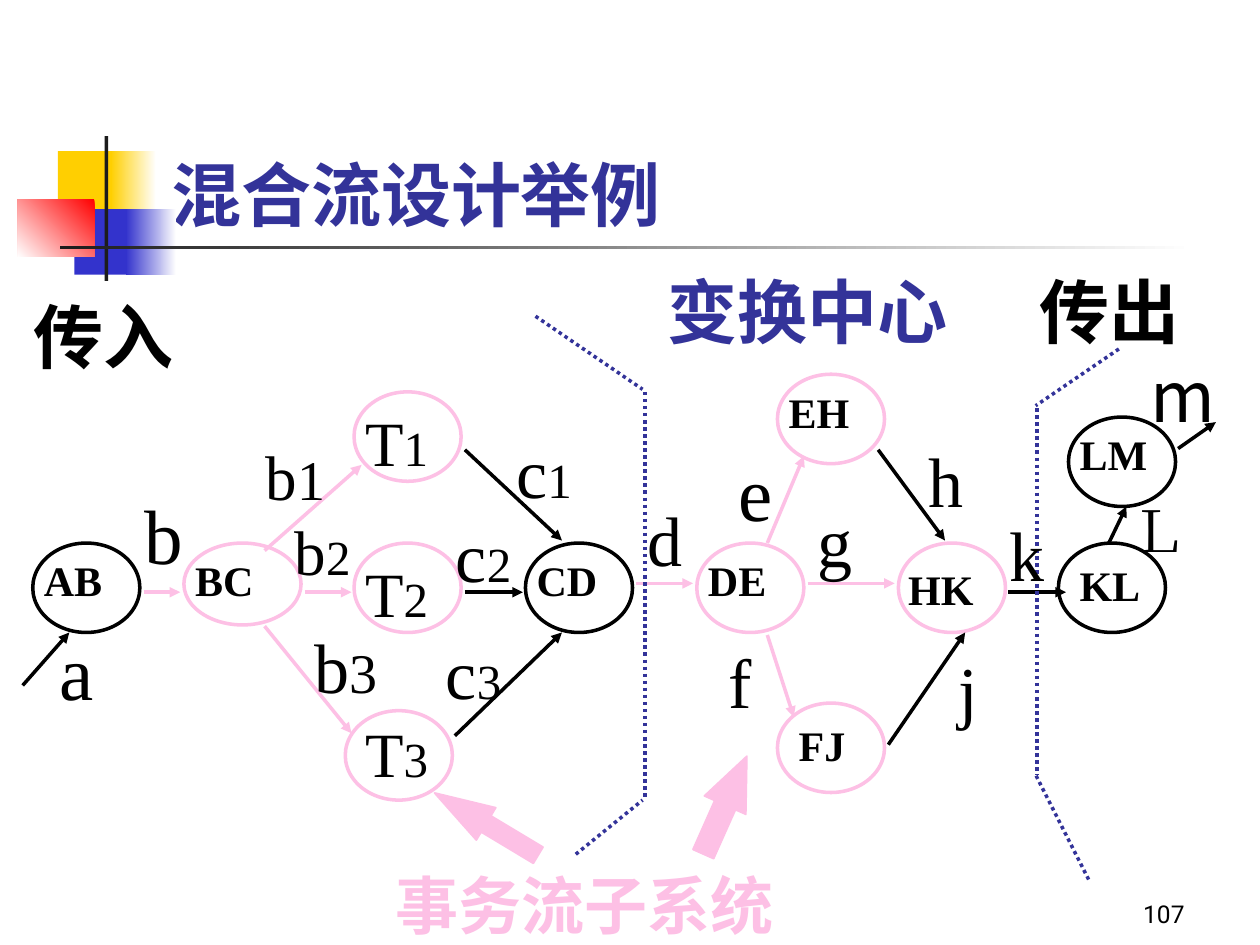
from lxml.etree import SubElement
from pptx import Presentation
from pptx.dml.color import RGBColor
from pptx.enum.dml import MSO_LINE_DASH_STYLE as Dash
from pptx.enum.shapes import MSO_CONNECTOR as Connector, MSO_SHAPE as Shape
from pptx.enum.text import MSO_ANCHOR as Anchor, MSO_AUTO_SIZE as AutoSize, PP_ALIGN as Align
from pptx.oxml.ns import qn
from pptx.util import Emu, Pt

PX = 9144  # 100 px to the inch
THEME = {
    "black": "000000", "pink": "FDC0E5", "navy": "333399", "white": "FFFFFF",
    "yellow": "FFCF01", "blue": "3333CC", "red": "FF0000", "dark": "1C1C1C",
    "cjk": "Noto Sans CJK SC", "serif": "Times New Roman", "sans": "Roboto",
    "node": 24, "task": 36, "sub": 28, "heading": 40, "page": 14,
}

# Content: lengths in px
TITLE = "混合流设计举例"
# x, y, w, h, colour or (from, to, angle)
ORNAMENT = [
    (46, 120, 48, 52, "yellow"),
    (88, 120, 36, 52, ("white", "yellow", 180)),
    (59, 166, 46, 52, "blue"),
    (100, 166, 40, 52, ("white", "blue", 180)),
    (14, 158, 61, 46, ("red", "white", 225)),
    (83, 108, 3, 115, "dark"),
    (48, 195, 900, 3, ("white", "dark", 180)),
]
OVAL = (85, 71)
WIDE_OVAL = (93, 65)
# name, oval x, y, size, colour, name x, y, w
NODES = [
    ("AB", 26, 431, OVAL, "black", 25, 435, 119),
    ("BC", 146, 431, WIDE_OVAL, "pink", 145, 435, 119),
    ("T1", 281, 311, OVAL, "pink", 280, 315, 135),
    ("T2", 281, 431, OVAL, "pink", 280, 435, 135),
    ("T3", 274, 564, OVAL, "pink", 280, 562, 135),
    ("CD", 417, 431, OVAL, "black", 416, 435, 119),
    ("DE", 553, 431, OVAL, "pink", 552, 435, 119),
    ("EH", 617, 297, OVAL, "pink", 616, 302, 119),
    ("FJ", 617, 558, OVAL, "pink", 624, 566, 88),
    ("HK", 713, 431, OVAL, "pink", 711, 442, 119),
    ("KL", 840, 431, OVAL, "black", 847, 439, 96),
    ("LM", 848, 331, OVAL, "black", 847, 335, 119),
]
# name, x, y, w, letter size, digit size, font
FLOW_NAMES = [
    ("a", 37, 490, 52, 44, 0, "serif"),
    ("b", 105, 382, 52, 44, 0, "serif"),
    ("b1", 201, 342, 95, 36, 32, "serif"),
    ("b2", 224, 402, 87, 36, 28, "serif"),
    ("b3", 240, 490, 87, 40, 32, "serif"),
    ("c1", 400, 335, 112, 40, 28, "serif"),
    ("c2", 352, 402, 111, 40, 28, "serif"),
    ("c3", 344, 495, 111, 40, 28, "serif"),
    ("d", 504, 389, 52, 40, 0, "serif"),
    ("e", 576, 348, 52, 44, 0, "serif"),
    ("f", 568, 502, 52, 40, 0, "serif"),
    ("g", 639, 390, 52, 40, 0, "serif"),
    ("h", 727, 342, 52, 40, 0, "serif"),
    ("j", 751, 508, 52, 40, 0, "serif"),
    ("k", 791, 401, 48, 40, 0, "serif"),
    ("Ｌ", 887, 389, 79, 32, 0, "serif"),
    ("m", 903, 275, 52, 40, 0, "cjk"),
]
# x1, y1, x2, y2 by colour
FLOWS = {
    "pink": [
        (114, 470, 143, 470), (210, 437, 287, 369), (242, 470, 279, 470),
        (210, 497, 279, 582), (505, 463, 550, 463), (609, 431, 638, 362),
        (609, 504, 630, 569), (641, 463, 710, 463),
    ],
    "black": [
        (18, 544, 55, 502), (369, 357, 446, 429), (369, 470, 415, 470),
        (361, 584, 446, 502), (697, 357, 750, 429), (705, 591, 766, 502),
        (800, 470, 846, 470), (880, 431, 894, 402), (935, 356, 965, 335),
    ],
}
BOUNDARIES = [
    (425, 251, 510, 309), (512, 311, 512, 635), (457, 678, 510, 635),
    (888, 277, 822, 322), (823, 324, 823, 615), (864, 698, 822, 615),
]
# text, x, y, w, size, colour
REGIONS = [
    ("传入", 17, 228, 159, THEME["heading"], "black"),
    ("变换中心", 520, 208, 287, THEME["heading"], "navy"),
    ("传出", 815, 208, 151, THEME["heading"], "black"),
    ("事务流子系统", 304, 683, 391, THEME["task"], "pink"),
]
# x, y, w, h, rotation, head length
POINTERS = [(338, 639, 96, 30, 211, 1.59), (533, 621, 85, 36, 294, 1.18)]
PAGE = ("107", 742, 692, 208, 50)


def px(*lengths):
    return [Emu(length * PX) for length in lengths]


def rgb(name):
    return RGBColor.from_string(THEME[name])


def assign(target, values):
    for key, value in values.items():
        setattr(target, key, value)


def write(paragraph, text, size, font="serif", color="black", bold=False):
    run = paragraph.add_run()
    run.text = text
    assign(run.font, {"size": Pt(size), "name": THEME[font], "bold": bold})
    run.font.color.rgb = rgb(color)
    SubElement(run.font._element, qn("a:ea"), typeface=THEME[font])


def add_label(slide, x, y, w, runs, h=None, wrap=True, anchor=Anchor.TOP, align=Align.LEFT, **style):
    """Place a text box; its height follows from the first type size."""
    h = h or round(10 + 1.66 * runs[0][1])
    frame = slide.shapes.add_textbox(*px(x, y, w, h)).text_frame
    assign(frame, {"word_wrap": wrap, "vertical_anchor": anchor})
    paragraph = frame.paragraphs[0]
    paragraph.alignment = align
    for text, size in runs:
        write(paragraph, text, size, **style)


def add_figure(slide, kind, frame, fill=None, line=None, weight=2):
    figure = slide.shapes.add_shape(kind, *px(*frame))
    figure.shadow.inherit = False
    if fill is None:
        figure.fill.background()
    elif isinstance(fill, tuple):
        *ends, angle = fill
        figure.fill.gradient()
        figure.fill.gradient_angle = angle
        for stop, name in zip(figure.fill.gradient_stops, ends):
            stop.color.rgb = rgb(name)
    else:
        figure.fill.solid()
        figure.fill.fore_color.rgb = rgb(fill)
    if line:
        figure.line.color.rgb = rgb(line)
        figure.line.width = Pt(weight)
    else:
        figure.line.fill.background()
    return figure


def add_line(slide, ends, color, dash=None, arrow=False):
    link = slide.shapes.add_connector(Connector.STRAIGHT, *px(*ends))
    link.line.color.rgb = rgb(color)
    assign(link.line, {"width": Pt(2), "dash_style": dash})
    if arrow:
        SubElement(link.line._get_or_add_ln(), qn("a:tailEnd"), type="triangle")
    SubElement(link._element.spPr, qn("a:effectLst"))


def main():
    deck = Presentation()
    deck.slide_width, deck.slide_height = px(1000, 750)
    slide = deck.slides.add_slide(deck.slide_layouts[5])

    # Corner ornament and title
    for *frame, fill in ORNAMENT:
        add_figure(slide, Shape.RECTANGLE, frame, fill)
    title = slide.shapes.title
    assign(title, dict(zip(("left", "top", "width", "height"), px(126, 67, 852, 125))))
    assign(title.text_frame, {"vertical_anchor": Anchor.BOTTOM, "auto_size": AutoSize.NONE,
                              "word_wrap": True})
    heading = title.text_frame.paragraphs[0]
    heading.alignment = Align.LEFT
    write(heading, TITLE, THEME["heading"], "cjk", "navy", True)

    # Ovals, flows and region boundaries
    for name, x, y, size, color, *_ in NODES:
        add_figure(slide, Shape.OVAL, (x, y, *size), "white" if name == "AB" else None, color)
    for color, flows in FLOWS.items():
        for ends in flows:
            add_line(slide, ends, color, arrow=True)
    for ends in BOUNDARIES:
        add_line(slide, ends, "navy", Dash.ROUND_DOT)

    # Block arrows to the transaction subsystems
    for *frame, rotation, head in POINTERS:
        pointer = add_figure(slide, Shape.RIGHT_ARROW, frame, "pink", "pink", 1)
        pointer.rotation = rotation
        pointer.adjustments[1] = head

    # Names of nodes, flows and regions
    for name, *_, x, y, w in NODES:
        task = name.startswith("T")
        runs = [("T", THEME["task"]), (name[1:], THEME["sub"])] if task else [(name, THEME["node"])]
        add_label(slide, x, y, w, runs, bold=not task)
    for name, x, y, w, letter, digit, font in FLOW_NAMES:
        runs = [(name[0], letter)] + ([(name[1:], digit)] if digit else [])
        add_label(slide, x, y, w, runs, wrap=name != "k", font=font)
    for text, x, y, w, size, color in REGIONS:
        add_label(slide, x, y, w, [(text, size)], font="cjk", color=color, bold=True)

    # Page number
    number, x, y, w, h = PAGE
    add_label(slide, x, y, w, [(number, THEME["page"])], h, anchor=Anchor.BOTTOM,
              align=Align.RIGHT, font="sans")
    deck.save("out.pptx")


if __name__ == "__main__":
    main()
